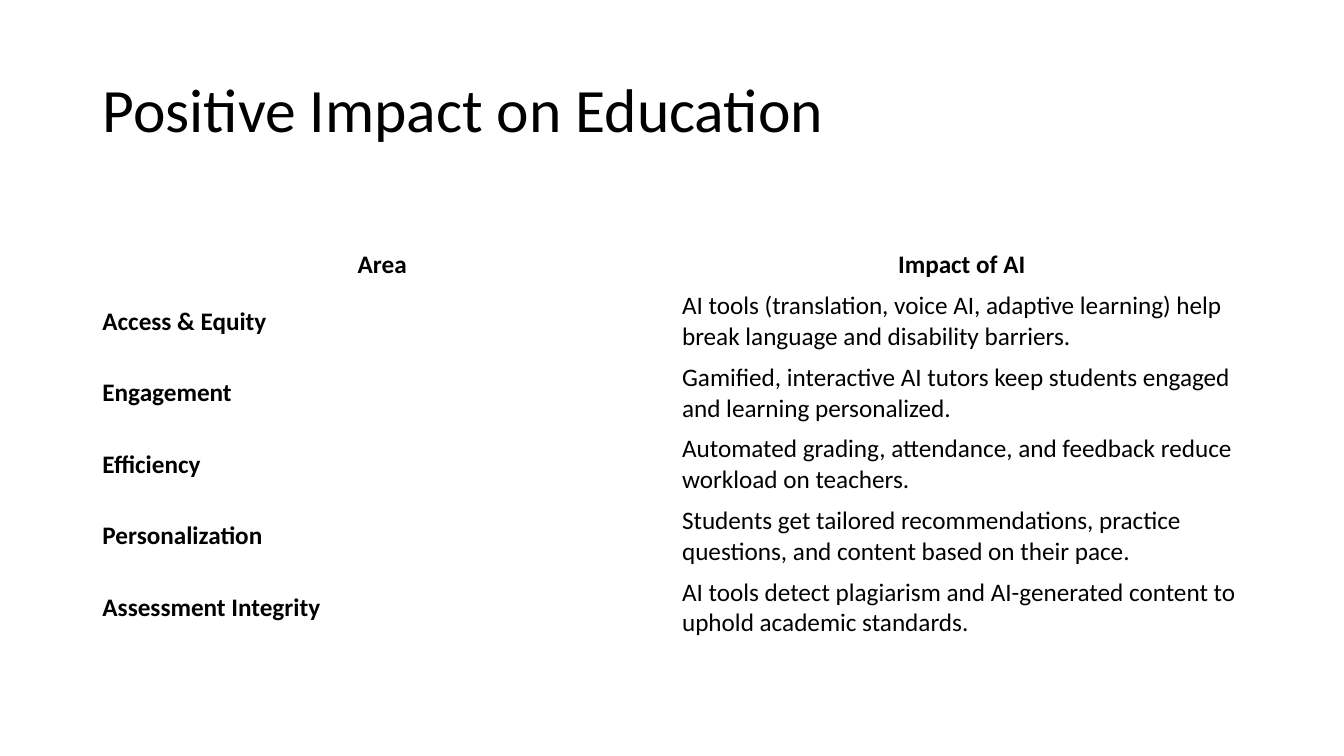
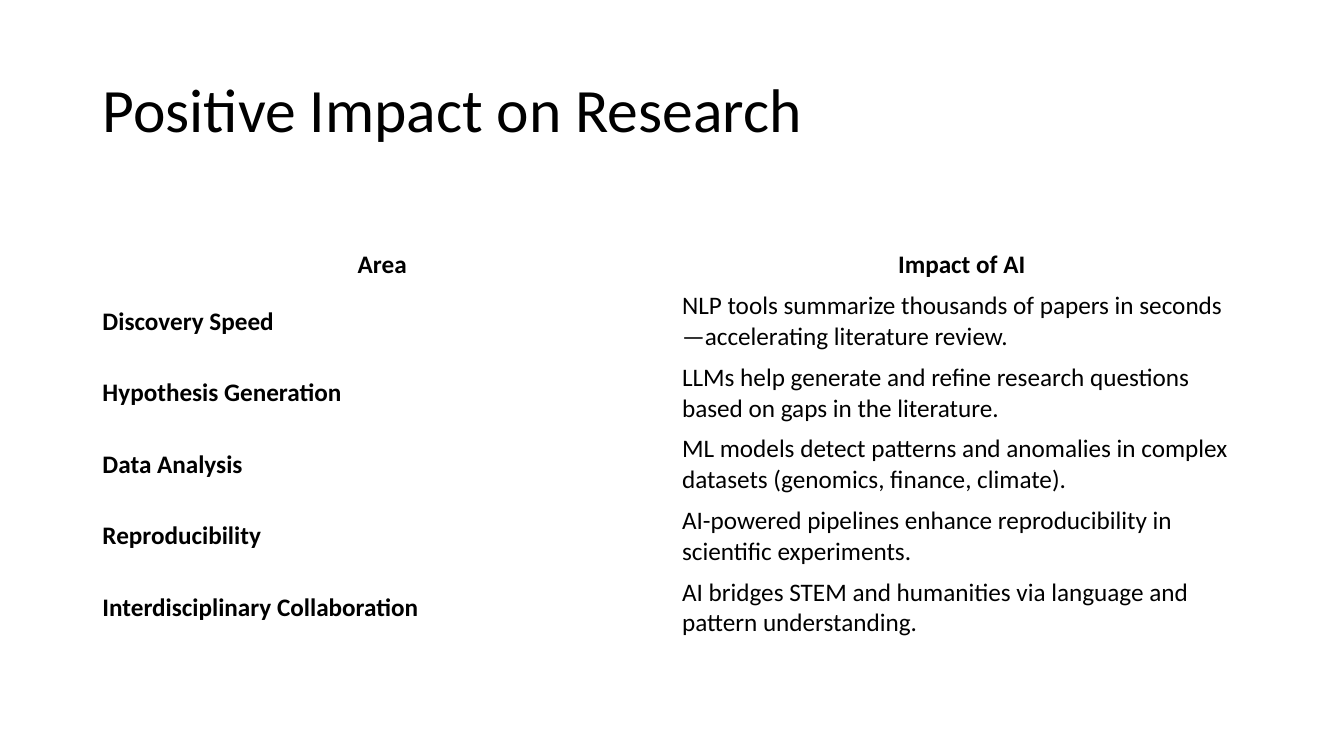
from dataclasses import dataclass

import pptx
import pptx.dml.color
import pptx.enum.text
import pptx.presentation
import pptx.slide
import pptx.table
import pptx.text.text
import pptx.util

PX = 9525  # EMU in one px, at 96 px to the inch
SLIDE_WIDTH, SLIDE_HEIGHT = 1280, 720
MARGIN = 88
CONTENT_WIDTH = SLIDE_WIDTH - 2 * MARGIN
TITLE_TOP, TITLE_HEIGHT = 38, 139
TABLE_TOP = 233
HEADER_HEIGHT, ROW_HEIGHT = 39, 68

FONT = "Calibri"
TITLE_SIZE, CELL_SIZE = 44, 18
BLACK = pptx.dml.color.RGBColor(0x00, 0x00, 0x00)
WHITE = pptx.dml.color.RGBColor(0xFF, 0xFF, 0xFF)
LEFT = pptx.enum.text.PP_ALIGN.LEFT
CENTER = pptx.enum.text.PP_ALIGN.CENTER
MIDDLE = pptx.enum.text.MSO_ANCHOR.MIDDLE
TITLE_ONLY = 5


@dataclass(frozen=True)
class Impact:
    area: str
    effect: str


@dataclass(frozen=True)
class Topic:
    title: str
    impacts: tuple[Impact, ...]


HEADER = Impact("Area", "Impact of AI")
TOPICS = (
    Topic("Positive Impact on Education", (
        Impact("Access & Equity",
               "AI tools (translation, voice AI, adaptive learning) help break "
               "language and disability barriers."),
        Impact("Engagement",
               "Gamified, interactive AI tutors keep students engaged and "
               "learning personalized."),
        Impact("Efficiency",
               "Automated grading, attendance, and feedback reduce workload on "
               "teachers."),
        Impact("Personalization",
               "Students get tailored recommendations, practice questions, and "
               "content based on their pace."),
        Impact("Assessment Integrity",
               "AI tools detect plagiarism and AI-generated content to uphold "
               "academic standards."),
    )),
    Topic("Positive Impact on Research", (
        Impact("Discovery Speed",
               "NLP tools summarize thousands of papers in seconds—accelerating "
               "literature review."),
        Impact("Hypothesis Generation",
               "LLMs help generate and refine research questions based on gaps "
               "in the literature."),
        Impact("Data Analysis",
               "ML models detect patterns and anomalies in complex datasets "
               "(genomics, finance, climate)."),
        Impact("Reproducibility",
               "AI-powered pipelines enhance reproducibility in scientific "
               "experiments."),
        Impact("Interdisciplinary Collaboration",
               "AI bridges STEM and humanities via language and pattern "
               "understanding."),
    )),
)


def px(length: int) -> pptx.util.Emu:
    return pptx.util.Emu(length * PX)


def write(frame: pptx.text.text.TextFrame, text: str, size: int,
          bold: bool = False, align: pptx.enum.text.PP_ALIGN = LEFT) -> None:
    frame.text = text
    paragraph = frame.paragraphs[0]
    paragraph.alignment = align
    font = paragraph.runs[0].font
    font.name, font.size, font.bold = FONT, pptx.util.Pt(size), bold
    font.color.rgb = BLACK


def add_title(slide: pptx.slide.Slide, text: str) -> None:
    title = slide.shapes.title
    title.left, title.top = px(MARGIN), px(TITLE_TOP)
    title.width, title.height = px(CONTENT_WIDTH), px(TITLE_HEIGHT)
    frame = title.text_frame
    write(frame, text, TITLE_SIZE)
    frame.paragraphs[0].line_spacing = 0.9
    frame.vertical_anchor = MIDDLE
    frame.auto_size = pptx.enum.text.MSO_AUTO_SIZE.NONE


def fill_cell(cell: pptx.table._Cell, text: str, bold: bool,
              align: pptx.enum.text.PP_ALIGN) -> None:
    cell.fill.background()
    cell.vertical_anchor = MIDDLE
    write(cell.text_frame, text, CELL_SIZE, bold, align)


def add_impact_table(slide: pptx.slide.Slide, impacts: tuple[Impact, ...]) -> None:
    lines = (HEADER, *impacts)
    height = HEADER_HEIGHT + ROW_HEIGHT * len(impacts)
    table = slide.shapes.add_table(
        len(lines), 2, px(MARGIN), px(TABLE_TOP), px(CONTENT_WIDTH), px(height)).table
    table.horz_banding = False
    for index, line in enumerate(lines):
        is_header = index == 0
        align = CENTER if is_header else LEFT
        table.rows[index].height = px(HEADER_HEIGHT if is_header else ROW_HEIGHT)
        fill_cell(table.cell(index, 0), line.area, True, align)
        fill_cell(table.cell(index, 1), line.effect, is_header, align)


def add_topic(deck: pptx.presentation.Presentation, topic: Topic) -> None:
    slide = deck.slides.add_slide(deck.slide_layouts[TITLE_ONLY])
    add_title(slide, topic.title)
    add_impact_table(slide, topic.impacts)


def main() -> None:
    deck = pptx.Presentation()
    deck.slide_width, deck.slide_height = px(SLIDE_WIDTH), px(SLIDE_HEIGHT)
    background = deck.slide_master.background.fill
    background.solid()
    background.fore_color.rgb = WHITE
    for topic in TOPICS:
        add_topic(deck, topic)
    deck.save("out.pptx")


if __name__ == "__main__":
    main()
